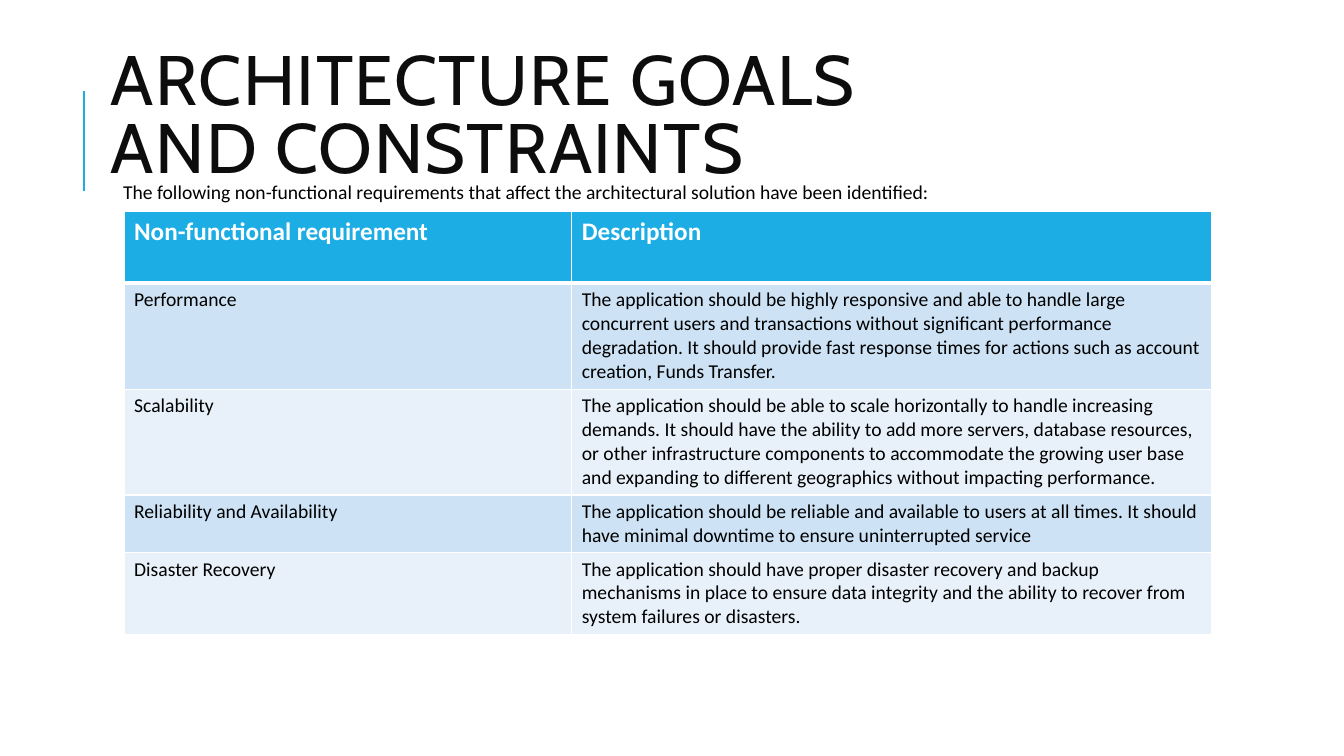
from dataclasses import dataclass

import pptx
import pptx.dml.color
import pptx.enum.shapes
import pptx.enum.text
import pptx.oxml.ns
import pptx.presentation
import pptx.shapes.autoshape
import pptx.slide
import pptx.table
import pptx.text.text
import pptx.util
from lxml import etree

RGBColor = pptx.dml.color.RGBColor
ACCENT = RGBColor(0x1C, 0xAD, 0xE4)
TITLE_INK = RGBColor(0x0D, 0x0D, 0x0D)
BLACK = RGBColor(0, 0, 0)
WHITE = RGBColor(0xFF, 0xFF, 0xFF)
BANDS = (RGBColor(0xCD, 0xE3, 0xF5), RGBColor(0xE8, 0xF1, 0xFA))

SLIDE_WIDTH = pptx.util.Inches(13.33)
SLIDE_HEIGHT = pptx.util.Inches(7.5)
TITLE_LAYOUT = 5
COLUMN_SHARES = (33.31, 47.64)


@dataclass(frozen=True)
class Box:
    """An area in percent of the slide's width and height."""

    left: float
    top: float
    width: float
    height: float


@dataclass(frozen=True)
class Requirement:
    name: str
    description: str
    height: float


TITLE_BOX = Box(7.5, 6.93, 69.09, 17.73)
INTRODUCTION_BOX = Box(8.03, 23.47, 80.94, 4.5)
ACCENT_LINE = Box(6.25, 12, 0, 13.33)
TABLE_LEFT, TABLE_TOP = 9.23, 28

HEADER = Requirement("Non-functional requirement", "Description", 9.47)
REQUIREMENTS = (
    Requirement(
        "Performance",
        "The application should be highly responsive and able to handle large concurrent users "
        "and transactions without significant performance degradation. It should provide fast "
        "response times for actions such as account creation, Funds Transfer.",
        14,
    ),
    Requirement(
        "Scalability",
        "The application should be able to scale horizontally to handle increasing demands. It "
        "should have the ability to add more servers, database resources, or other "
        "infrastructure components to accommodate the growing user base and expanding to "
        "different geographics without impacting performance.",
        14,
    ),
    Requirement(
        "Reliability and Availability",
        "The application should be reliable and available to users at all times. It should have "
        "minimal downtime to ensure uninterrupted service",
        7.6,
    ),
    Requirement(
        "Disaster Recovery",
        "The application should have proper disaster recovery and backup mechanisms in place to "
        "ensure data integrity and the ability to recover from system failures or disasters.",
        10.87,
    ),
)


def across(percent: float) -> int:
    return round(SLIDE_WIDTH * percent / 100)


def down(percent: float) -> int:
    return round(SLIDE_HEIGHT * percent / 100)


def write_text(
    frame: pptx.text.text.TextFrame,
    text: str,
    *,
    size: float = 14,
    color: RGBColor = BLACK,
    font: str = "Calibri",
    bold: bool = False,
    line_spacing: float = 1.0,
    letter_spacing: float = 0,
) -> None:
    frame.word_wrap = True
    paragraph = frame.paragraphs[0]
    paragraph.alignment = pptx.enum.text.PP_ALIGN.LEFT
    paragraph.line_spacing = line_spacing
    run = paragraph.add_run()
    run.text = text
    run.font.size = pptx.util.Pt(size)
    run.font.name = font
    run.font.bold = bold
    run.font.color.rgb = color
    if letter_spacing:
        run.font._element.set("spc", str(round(letter_spacing * 100)))


def add_title(slide: pptx.slide.Slide) -> None:
    title = slide.shapes.title
    title.left, title.top = across(TITLE_BOX.left), down(TITLE_BOX.top)
    title.width, title.height = across(TITLE_BOX.width), down(TITLE_BOX.height)
    frame = title.text_frame
    frame.auto_size = pptx.enum.text.MSO_AUTO_SIZE.NONE
    frame.vertical_anchor = pptx.enum.text.MSO_ANCHOR.MIDDLE
    write_text(frame, "ARCHITECTURE GOALS AND CONSTRAINTS", size=50, color=TITLE_INK,
               font="Cabin", line_spacing=0.8, letter_spacing=1)


def add_accent_line(slide: pptx.slide.Slide) -> None:
    horizontal = across(ACCENT_LINE.left)
    line = slide.shapes.add_connector(
        pptx.enum.shapes.MSO_CONNECTOR.STRAIGHT,
        horizontal, down(ACCENT_LINE.top + ACCENT_LINE.height),
        horizontal, down(ACCENT_LINE.top),
    )
    line.line.color.rgb = ACCENT
    line.line.width = pptx.util.Pt(1.5)
    etree.SubElement(line._element.spPr, pptx.oxml.ns.qn("a:effectLst"))


def add_introduction(slide: pptx.slide.Slide) -> None:
    box = INTRODUCTION_BOX
    shape = slide.shapes.add_textbox(
        across(box.left), down(box.top), across(box.width), down(box.height)
    )
    frame = shape.text_frame
    frame.margin_left = pptx.util.Inches(0.15)
    frame.margin_right = frame.margin_top = frame.margin_bottom = pptx.util.Inches(0.05)
    write_text(
        frame,
        "The following non-functional requirements that affect the architectural solution "
        "have been identified:",
        line_spacing=0.9,
    )


def format_cell(cell: pptx.table._Cell, fill: RGBColor, bottom_width: float) -> None:
    """Draw white borders and then the fill, in the order the schema asks for."""
    properties = cell._tc.get_or_add_tcPr()
    for side, width in {"L": 1, "R": 1, "T": 1, "B": bottom_width}.items():
        border = etree.SubElement(properties, pptx.oxml.ns.qn(f"a:ln{side}"),
                                  w=str(pptx.util.Pt(width)))
        solid = etree.SubElement(border, pptx.oxml.ns.qn("a:solidFill"))
        etree.SubElement(solid, pptx.oxml.ns.qn("a:srgbClr"), val=str(WHITE))
    cell.fill.solid()
    cell.fill.fore_color.rgb = fill


def add_requirements_table(slide: pptx.slide.Slide) -> None:
    entries = (HEADER, *REQUIREMENTS)
    table = slide.shapes.add_table(
        len(entries), len(COLUMN_SHARES), across(TABLE_LEFT), down(TABLE_TOP),
        across(sum(COLUMN_SHARES)), down(sum(entry.height for entry in entries)),
    ).table
    table.horz_banding = False
    for column, share in zip(table.columns, COLUMN_SHARES):
        column.width = across(share)
    for index, (row, entry) in enumerate(zip(table.rows, entries)):
        row.height = down(entry.height)
        is_header = index == 0
        for cell, text in zip(row.cells, (entry.name, entry.description)):
            fill = ACCENT if is_header else BANDS[(index - 1) % len(BANDS)]
            # The row below the header shares its thick rule.
            format_cell(cell, fill, bottom_width=3 if is_header else 1)
            write_text(cell.text_frame, text, size=18 if is_header else 14,
                       color=WHITE if is_header else BLACK, bold=is_header)


def main() -> None:
    presentation = pptx.Presentation()
    presentation.slide_width, presentation.slide_height = SLIDE_WIDTH, SLIDE_HEIGHT
    slide = presentation.slides.add_slide(presentation.slide_layouts[TITLE_LAYOUT])
    add_accent_line(slide)
    add_title(slide)
    add_introduction(slide)
    add_requirements_table(slide)
    presentation.save("out.pptx")


if __name__ == "__main__":
    main()
